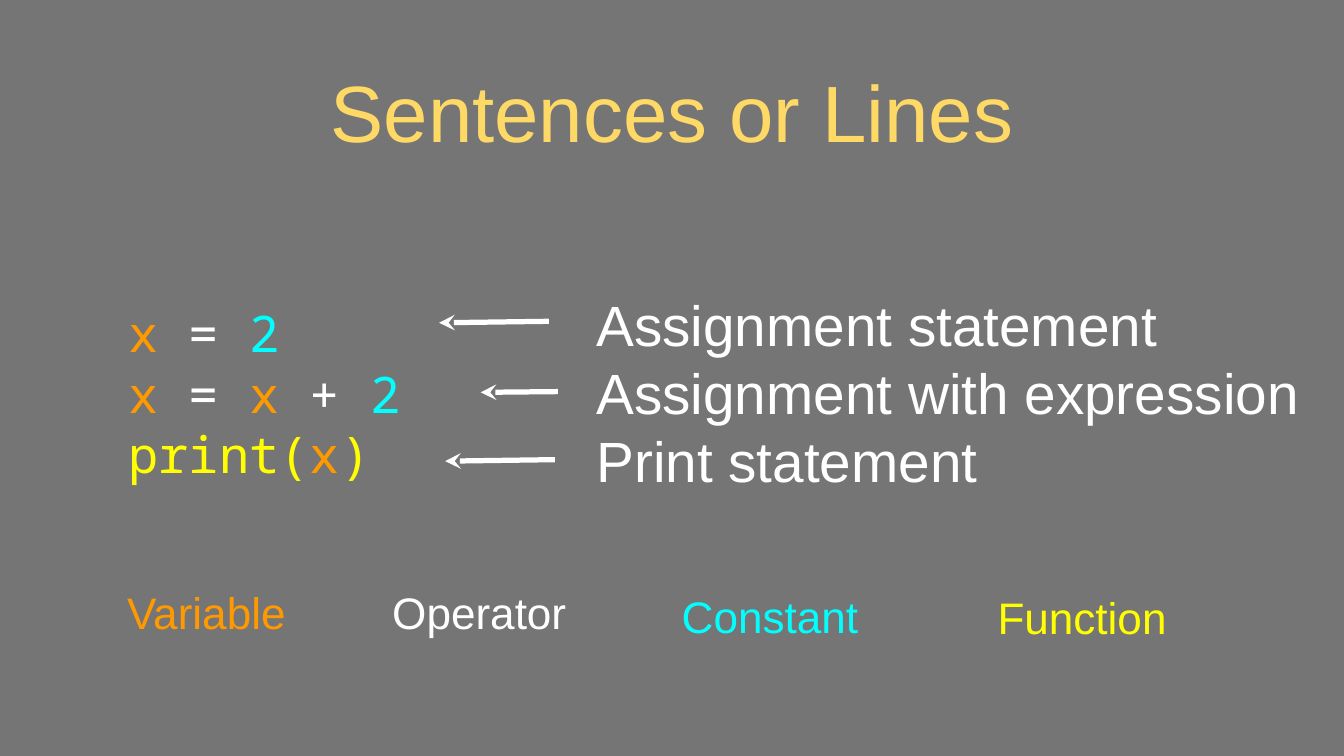
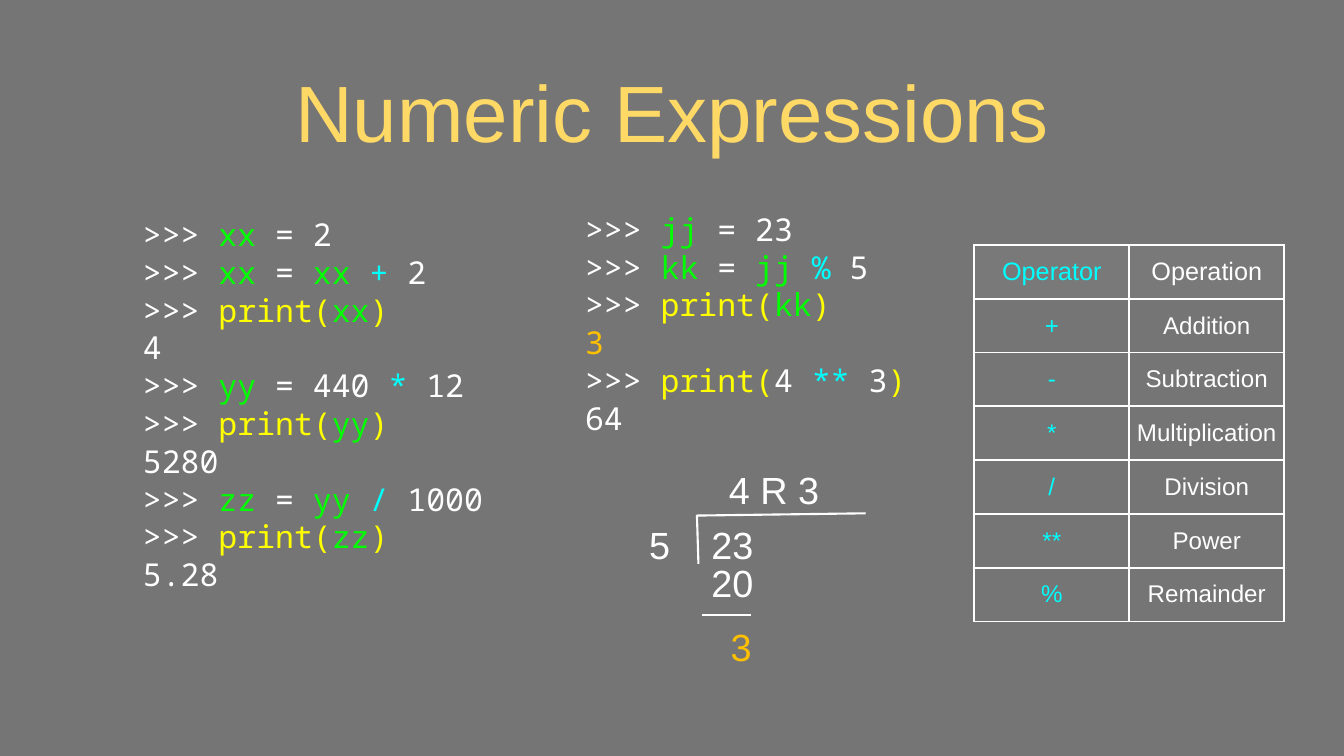
from lxml.etree import SubElement
from pptx import Presentation
from pptx.dml.color import RGBColor
from pptx.enum.shapes import MSO_CONNECTOR
from pptx.enum.text import MSO_ANCHOR, PP_ALIGN
from pptx.oxml.ns import qn
from pptx.util import Inches, Pt

COLORS = {
    "background": "757575",
    "title": "FFD966",
    "white": "FFFFFF",
    "orange": "FF9900",
    "cyan": "00FFFF",
    "yellow": "FFFF00",
    "green": "00FF00",
    "gold": "FFC000",
    "header": "7F7F7F",
}
SANS, MONO = "Arial", "Noto Sans Mono"


def write(frame, lines, size, font=SANS, align=PP_ALIGN.CENTER):
    """Fill a text frame; each line is a list of (text, colour name)."""
    for index, line in enumerate(lines):
        para = frame.paragraphs[0] if index == 0 else frame.add_paragraph()
        para.alignment = align
        if len(lines) > 1:
            para.line_spacing = Pt(size * 1.2)
        for text, color in line:
            span = para.add_run()
            span.text = text
            span.font.size = Pt(size)
            span.font.name = font
            span.font.color.rgb = RGBColor.from_string(COLORS[color])


def add_box(page, place, lines, size, font=SANS, align=PP_ALIGN.CENTER):
    """Add a vertically centred text box without margins."""
    box = page.shapes.add_textbox(*[Inches(value) for value in place])
    frame = box.text_frame
    frame.word_wrap = True
    frame.vertical_anchor = MSO_ANCHOR.MIDDLE
    frame.margin_left = frame.margin_right = 0
    frame.margin_top = frame.margin_bottom = 0
    write(frame, lines, size, font, align)


deck = Presentation()
deck.slide_width, deck.slide_height = Inches(17.78), Inches(10)

# Shared background
backdrop = deck.slide_master.background.fill
backdrop.solid()
backdrop.fore_color.rgb = RGBColor.from_string(COLORS["background"])

# Pages with their titles
pages = []
for heading in ("Sentences or Lines", "Numeric Expressions"):
    page = deck.slides.add_slide(deck.slide_layouts[5])
    title = page.shapes.title
    title.left, title.top = Inches(0.89), Inches(0.86)
    title.width, title.height = Inches(16), Inches(1.21)
    frame = title.text_frame
    frame.vertical_anchor = MSO_ANCHOR.MIDDLE
    frame.margin_left = frame.margin_right = Inches(0.04)
    frame.margin_top = frame.margin_bottom = Inches(0.04)
    write(frame, [[(heading, "title")]], 76)
    pages.append(page)
sentences, numeric = pages

# Sentences: code and its explanation
statements = [
    [("x ", "orange"), ("= ", "white"), ("2", "cyan")],
    [("x ", "orange"), ("= ", "white"), ("x ", "orange"), ("+ ", "white"), ("2", "cyan")],
    [("print(", "yellow"), ("x", "orange"), (")", "yellow")],
]
add_box(sentences, (1.7, 2.99, 4.38, 4.42), statements, 48, MONO, PP_ALIGN.LEFT)
meanings = ["Assignment statement", "Assignment with expression", "Print statement"]
add_box(sentences, (7.89, 2.97, 9.63, 4.42),
        [[(meaning, "white")] for meaning in meanings], 54, align=PP_ALIGN.LEFT)

# Sentences: colour legend
for word, color, left, top, width in (
    ("Variable", "orange", 1.45, 7.7, 2.56),
    ("Operator", "white", 5.14, 7.7, 2.4),
    ("Constant", "cyan", 8.84, 7.75, 2.69),
    ("Function", "yellow", 12.67, 7.77, 3.29),
):
    add_box(sentences, (left, top, width, 0.79), [[(word, color)]], 42)

# Numeric: interpreter sessions
prompt = (">>> ", "white")
show_xx, show_yy, show_zz, show_kk = [
    [prompt, ("print(", "yellow"), (name, "green"), (")", "yellow")]
    for name in ("xx", "yy", "zz", "kk")
]
arithmetic = [
    [prompt, ("xx", "green"), (" = 2", "white")],
    [prompt, ("xx", "green"), (" = ", "white"), ("xx ", "green"), ("+", "cyan"), (" 2", "white")],
    show_xx,
    [("4", "white")],
    [prompt, ("yy", "green"), (" = 440 ", "white"), ("*", "cyan"), (" 12", "white")],
    show_yy,
    [("5280", "white")],
    [prompt, ("zz", "green"), (" = ", "white"), ("yy ", "green"), ("/", "cyan"), (" 1000", "white")],
    show_zz,
    [("5.28", "white")],
]
remainder = [
    [prompt, ("jj", "green"), (" = 23", "white")],
    [prompt, ("kk", "green"), (" = ", "white"), ("jj ", "green"), ("% ", "cyan"), ("5", "white")],
    show_kk,
    [("3", "gold")],
    [prompt, ("print(", "yellow"), ("4 ", "white"), ("**", "cyan"), (" 3", "white"), (")", "yellow")],
    [("64", "white")],
]
add_box(numeric, (1.89, 2.44, 4.88, 5.81), arithmetic, 30, MONO, PP_ALIGN.LEFT)
add_box(numeric, (7.74, 2.51, 4.4, 3.53), remainder, 30, MONO, PP_ALIGN.LEFT)

# Numeric: operator table
operations = [
    ("Operator", "Operation"), ("+", "Addition"), ("-", "Subtraction"),
    ("*", "Multiplication"), ("/", "Division"), ("**", "Power"), ("%", "Remainder"),
]
table = numeric.shapes.add_table(
    len(operations), 2, Inches(12.89), Inches(3.24), Inches(4.1), Inches(4.98)).table
for row, texts in enumerate(operations):
    for column, (text, color) in enumerate(zip(texts, ("cyan", "white"))):
        cell = table.cell(row, column)
        cell.vertical_anchor = MSO_ANCHOR.MIDDLE
        cell.margin_left = cell.margin_right = Inches(0.04)
        cell.margin_top = cell.margin_bottom = Inches(0.04)
        write(cell.text_frame, [[(text, color)]], 24 if row == 0 else 23)
        properties = cell._tc.get_or_add_tcPr()
        for side in ("a:lnL", "a:lnR", "a:lnT", "a:lnB"):
            border = SubElement(properties, qn(side), w=str(Pt(2)))
            paint = SubElement(border, qn("a:solidFill"))
            SubElement(paint, qn("a:srgbClr"), val=COLORS["white"])
        if row == 0:
            cell.fill.solid()
            cell.fill.fore_color.rgb = RGBColor.from_string(COLORS["header"])
            tint = properties.find(qn("a:solidFill")).find(qn("a:srgbClr"))
            SubElement(tint, qn("a:alpha"), val="49000")
        else:
            cell.fill.background()

# Numeric: long division figures
for figure, color, left, top, width in (
    ("5", "white", 8.54, 6.86, 0.37),
    ("23", "white", 9.38, 6.86, 0.62),
    ("4 R 3", "white", 9.64, 6.13, 1.2),
    ("20", "white", 9.38, 7.36, 0.62),
    ("3", "gold", 9.62, 8.21, 0.37),
):
    add_box(numeric, (left, top, width, 0.68), [[(figure, color)]], 36)

# Arrows to the code, and the rules of the long division
arrows = [(5.81, 4.27, 7.26, 4.25), (6.36, 5.19, 7.38, 5.18), (5.89, 6.1, 7.34, 6.08)]
rules = [(9.22, 6.81, 9.24, 7.46), (9.22, 6.82, 11.45, 6.79), (9.29, 8.14, 9.93, 8.14)]
for page, strokes, weight in ((sentences, arrows, 5), (numeric, rules, 2)):
    for ends in strokes:
        stroke = page.shapes.add_connector(
            MSO_CONNECTOR.STRAIGHT, *[Inches(value) for value in ends])
        stroke.line.width = Pt(weight)
        stroke.line.color.rgb = RGBColor.from_string(COLORS["white"])
        if page is sentences:
            SubElement(stroke.line._get_or_add_ln(), qn("a:headEnd"), type="stealth")
        SubElement(stroke._element.spPr, qn("a:effectLst"))

deck.save("out.pptx")
